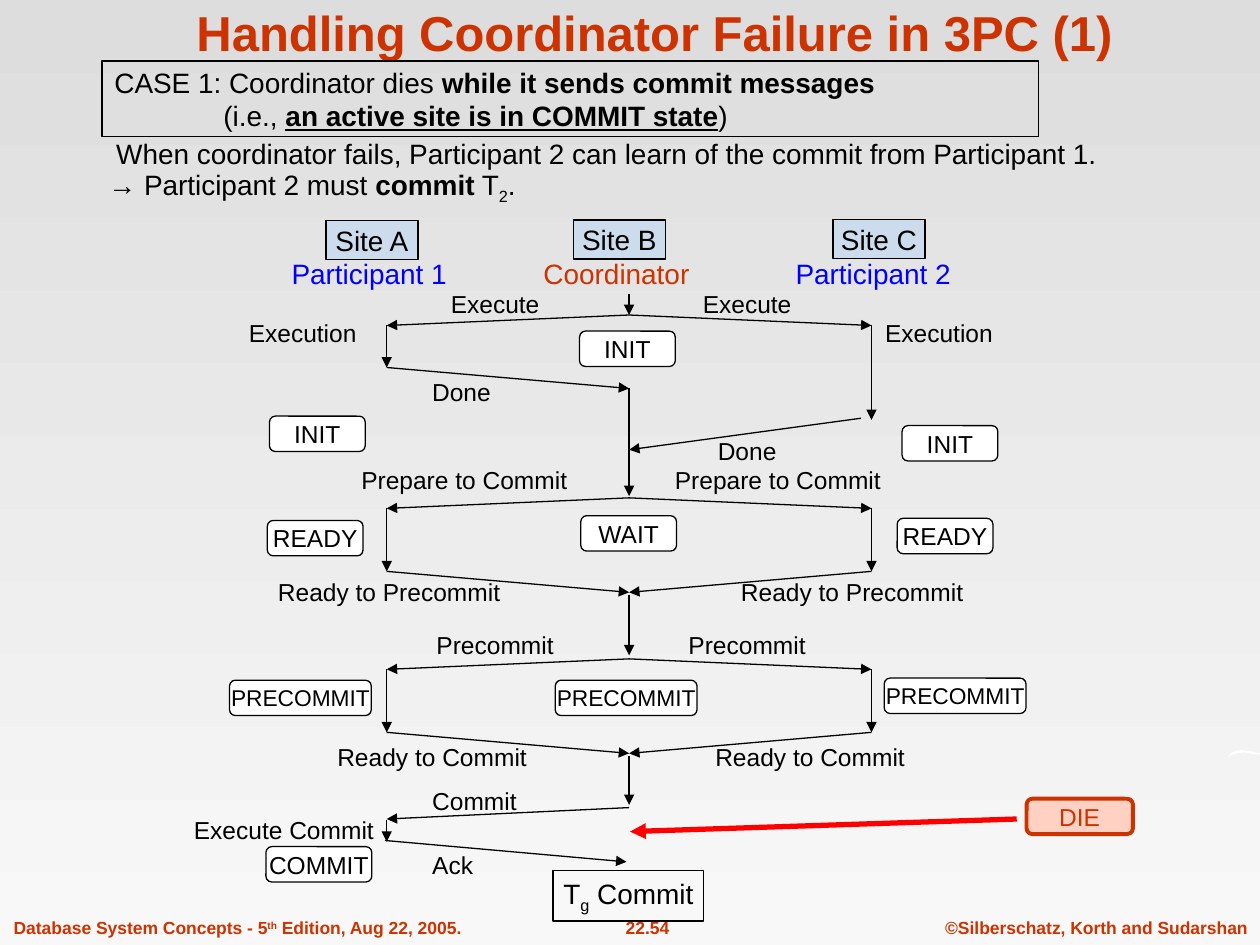
"""Build the slide on coordinator failure in three-phase commit."""
from dataclasses import dataclass

from lxml import etree
from pptx import Presentation
from pptx.dml.color import RGBColor as Rgb
from pptx.enum.shapes import MSO_CONNECTOR as Link, MSO_SHAPE as Preset
from pptx.enum.text import MSO_ANCHOR as Anchor, PP_ALIGN as Align
from pptx.oxml.ns import qn
from pptx.util import Pt


@dataclass(frozen=True)
class Theme:
    font: str = "Arial"
    ink: str = "000000"
    accent: str = "CC3300"
    participant: str = "0000FF"
    site: str = "99CCFF"
    state: str = "FFFFFF"
    failure: str = "FFD1C2"
    alarm: str = "FF0000"
    sky: tuple = ("DDDDDD", "F8F8F8")
    title: int = 28
    body: int = 16
    step: int = 14
    long_state: int = 13
    footer: int = 10
    thin: float = 0.75


def write(paragraph, text, font="Arial", size=16, color="000000", bold=False,
          underline=False, baseline=0):
    run = paragraph.add_run()
    run.text = text
    run.font.name = font
    run.font.size = Pt(size)
    run.font.color.rgb = Rgb.from_string(color)
    run.font.bold = bold
    run.font.underline = underline
    if baseline:
        run.font._element.set("baseline", str(baseline * 1000))


class Board:
    def __init__(self, slide, theme):
        self.slide, self.theme = slide, theme

    def background(self):
        fill = self.slide.background.fill
        fill.gradient()
        fill.gradient_angle = 270
        for stop, position, color in zip(fill.gradient_stops, (0, 1), self.theme.sky):
            stop.position = position
            stop.color.rgb = Rgb.from_string(color)

    def fill_text(self, shape, lines, align, anchor, wrap=False, indents=(),
                  spacing=None, gap=0, **style):
        frame = shape.text_frame
        frame.word_wrap = wrap
        frame.vertical_anchor = anchor
        for index, line in enumerate(lines):
            paragraph = frame.paragraphs[0] if index == 0 else frame.add_paragraph()
            paragraph.alignment = align
            if spacing:
                paragraph.line_spacing = Pt(spacing)
            if index and gap:
                paragraph.space_before = Pt(gap)
            if indents:
                paragraph._p.get_or_add_pPr().set("marL", str(Pt(indents[index])))
            for text, changes in line:
                write(paragraph, text, **{"font": self.theme.font, **style, **changes})

    def text(self, box, lines, align=Align.LEFT, anchor=Anchor.MIDDLE, **style):
        area = self.slide.shapes.add_textbox(*map(Pt, box))
        self.fill_text(area, lines, align, anchor, **style)

    def label(self, center, middle, text, **style):
        self.text((center - 80, middle - 12, 160, 24), [[(text, {})]], Align.CENTER, **style)

    def box(self, preset, box, lines, fill=None, alpha=None, line=None, weight=None,
            align=Align.CENTER, **style):
        shape = self.slide.shapes.add_shape(preset, *map(Pt, box))
        shape.shadow.inherit = False
        if fill:
            shape.fill.solid()
            shape.fill.fore_color.rgb = Rgb.from_string(fill)
        else:
            shape.fill.background()
        if alpha:
            color = shape._element.spPr.find(qn("a:solidFill"))[0]
            etree.SubElement(color, qn("a:alpha")).set("val", str(alpha * 1000))
        shape.line.color.rgb = Rgb.from_string(line or self.theme.ink)
        shape.line.width = Pt(weight or self.theme.thin)
        self.fill_text(shape, lines, align, Anchor.MIDDLE, **style)

    def state(self, left, top, width, text, size=None, fill=None, **style):
        self.box(Preset.ROUNDED_RECTANGLE, (left, top, width, 20.2), [[(text, {})]],
                 fill=fill or self.theme.state, size=size or self.theme.step, **style)

    def arrow(self, start, end, color=None, weight=None):
        link = self.slide.shapes.add_connector(Link.STRAIGHT, *map(Pt, (*start, *end)))
        link.line.color.rgb = Rgb.from_string(color or self.theme.ink)
        link.line.width = Pt(weight or self.theme.thin)
        etree.SubElement(link.line._get_or_add_ln(), qn("a:tailEnd")).set("type", "triangle")
        etree.SubElement(link._element.spPr, qn("a:effectLst"))

    def outline(self, points, fill):
        first, *rest = [tuple(map(Pt, point)) for point in points]
        builder = self.slide.shapes.build_freeform(*first)
        builder.add_line_segments(rest, close=True)
        shape = builder.convert_to_shape()
        shape.shadow.inherit = False
        shape.fill.solid()
        shape.fill.fore_color.rgb = Rgb.from_string(fill)
        shape.line.fill.background()


def draw_frame(board, theme):
    footer = dict(size=theme.footer, color=theme.accent, bold=True)
    board.text((0.7, 520.5, 273, 19.5),
               [[("Database System Concepts - 5", {}), ("th", {"baseline": 30}),
                 (" Edition, Aug 22, 2005.", {})]], **footer)
    board.text((332, 520.5, 76, 19.5), [[("22.54", {})]], Align.CENTER, **footer)
    board.text((500, 520.5, 220, 19.5),
               [[("©Silberschatz, Korth and Sudarshan", {})]], Align.RIGHT, **footer)
    board.outline([(702, 432.5), (703, 430.5), (706, 429), (709, 428.5), (713, 429),
                   (718, 430), (720, 430.5), (719, 431.3), (715, 430.7), (711, 430),
                   (707, 430.5), (704, 431.3)], theme.state)
    board.text((56, 0, 636, 36), [[("Handling Coordinator Failure in 3PC (1)", {})]],
               Align.CENTER, size=theme.title, color=theme.accent, bold=True)


def draw_case(board, theme):
    strong = {"bold": True}
    board.box(Preset.RECTANGLE, (58.3, 34.8, 535, 43.2),
              [[("CASE 1: Coordinator dies", {}), (" while it sends commit messages", strong)],
               [("(i.e., ", {}),
                ("an active site is in COMMIT state", {"bold": True, "underline": True}),
                (")", {})]],
              align=Align.LEFT, indents=(0, 62.3), size=theme.body)
    board.text((50.4, 77.8, 612.7, 51.8),
               [[("When coordinator fails, Participant 2 can learn of the commit "
                  "from Participant 1.", {})],
                [("→ Participant 2 must ", {}), ("commit", strong), (" T", {}),
                 ("2", {"baseline": -25}), (".", {})]],
               anchor=Anchor.TOP, wrap=True, indents=(8.9, 4.45), spacing=16, gap=4.5,
               size=theme.body)


def draw_labels(board, theme):
    roles = [(211, "Participant 1", theme.participant), (352.3, "Coordinator", theme.accent),
             (499, "Participant 2", theme.participant)]
    for center, role, color in roles:
        board.label(center, 156, role, size=theme.body, color=color)
    steps = [("Execute", 173.7, (283, 427)), ("Execution", 190.3, (173, 536.6)),
             ("Done", 224, (263.7,)), ("Done", 257.7, (427,)),
             ("Prepare to Commit", 274.3, (265.4, 444.6)),
             ("Ready to Precommit", 338.3, (222.4, 487)),
             ("Precommit", 368.6, (283, 427)), ("Ready to Commit", 432.6, (247, 463)),
             ("Commit", 457.7, (271.2,)), ("Execute Commit", 474.3, (162.3,)),
             ("Ack", 494.3, (258.7,))]
    for step, middle, centers in steps:
        for center in centers:
            board.label(center, middle, step, size=theme.step)


def draw_messages(board, theme):
    site_a, site_b, site_c = 221, 359.5, 498
    messages = [((site_b, 168), (site_b, 180)), ((site_b, 180), (site_a, 186)),
                ((site_b, 180), (site_c, 186)), ((site_a, 186), (site_a, 210)),
                ((site_a, 210), (site_b, 222)), ((site_c, 186), (site_c, 240)),
                ((492, 239), (site_b, 257)), ((site_b, 222), (site_b, 283.5))]
    for sent, finished in ((284.5, 374.5), (376.5, 460)):
        received, ready, answered = sent + 6, sent + 42, sent + 54
        for site in (site_a, site_c):
            messages += [((site_b, sent), (site, received)), ((site, received), (site, ready)),
                         ((site, ready), (site_b, answered))]
        messages.append(((site_b, answered + 1.5), (site_b, finished)))
    messages += [((site_b, 461.5), (site_a, 468)), ((site_a, 468.5), (site_a, 481)),
                 ((site_a - 1, 480.3), (358, 492.5))]
    for start, end in messages:
        board.arrow(start, end)
    board.arrow((581, 468), (360, 475.2), theme.alarm, 3)


def draw_states(board, theme):
    for left, top, site in ((186.3, 126.2, "A"), (327.6, 125.7, "B"), (476, 125.5, "C")):
        board.box(Preset.RECTANGLE, (left, top, 52.6, 22.3), [[("Site " + site, {})]],
                  fill=theme.site, alpha=30, size=theme.body)
    states = [("INIT", 54.7, theme.step, ((331.2, 189.2), (154, 237.8), (515.5, 243.2))),
              ("WAIT", 54.7, theme.step, ((331.9, 294.7),)),
              ("READY", 54.7, theme.step, ((152.8, 297.4), (512.7, 296.2))),
              ("PRECOMMIT", 81, theme.long_state,
               ((317.3, 388.7), (131.2, 388.7), (505.3, 387.5))),
              ("COMMIT", 60.5, theme.step, ((152, 483.8),))]
    for name, width, size, corners in states:
        for left, top in corners:
            board.state(left, top, width, name, size)
    board.state(586.6, 456.4, 60.8, "DIE", fill=theme.failure, line=theme.accent,
                weight=2.25, color=theme.accent)
    board.box(Preset.RECTANGLE, (316, 497.3, 86.2, 29),
              [[("T", {}), ("g", {"baseline": -25}), (" Commit", {})]], size=theme.body)


def main():
    deck = Presentation()
    deck.slide_width, deck.slide_height = Pt(720), Pt(540)
    theme = Theme()
    board = Board(deck.slides.add_slide(deck.slide_layouts[6]), theme)
    board.background()
    for draw in (draw_frame, draw_labels, draw_messages, draw_states, draw_case):
        draw(board, theme)
    deck.save("out.pptx")


if __name__ == "__main__":
    main()
